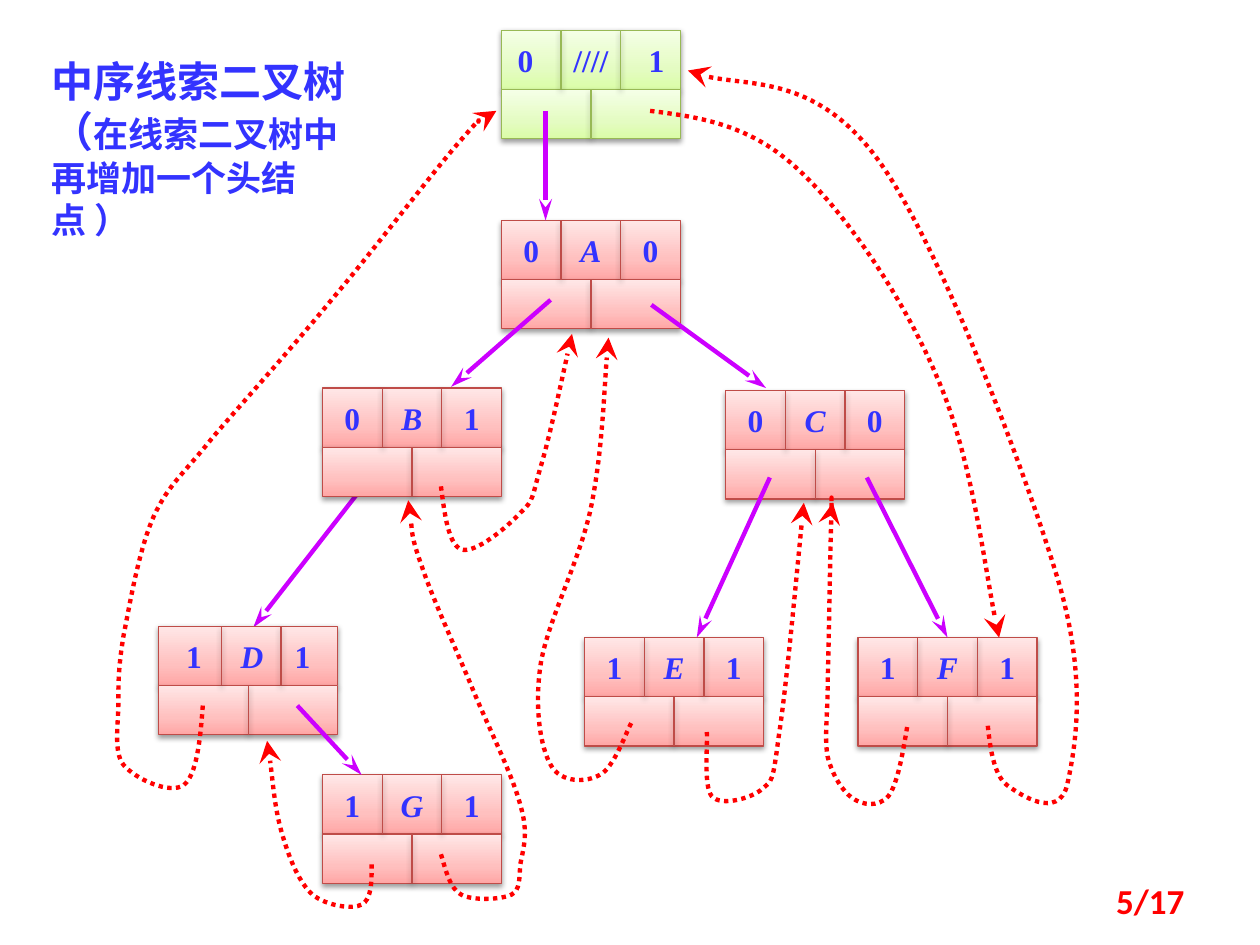
import pptx
import pptx.util
import pptx.dml.color
import pptx.enum.dml
import pptx.enum.shapes
import pptx.enum.text
import pptx.oxml
import pptx.oxml.ns
from dataclasses import dataclass
from lxml import etree

qn = pptx.oxml.ns.qn


@dataclass(frozen=True)
class Theme:
    text: str = "3333FF"
    link: str = "CC00FF"
    thread: str = "FF0000"
    tree_line: str = "BF4C48"
    tree_fill: tuple = ((0, "FFA6A5"), (35, "FFC0BF"), (100, "FFE7E7"))
    head_line: str = "98B955"
    head_fill: tuple = ((0, "DAFDA7"), (35, "E4FCC2"), (100, "F5FFE7"))
    serif: str = "Times New Roman"
    sans: str = "Calibri"
    title_size: int = 24
    note_size: int = 20
    node_size: int = 18
    border: float = 0.75
    stroke: float = 2.5


THEME = Theme()

# The slide is a grid of 10 columns by 7.5 rows
CELL = pptx.util.Inches(1)
NODE_W, TOP_H, BOTTOM_H = 1.42, 0.47, 0.39

# Label: left, top of each node, then its left tag, right tag
UPPER_NODES = {"A": (3.98, 1.75, "0", "0"), "E": (4.64, 5.06, "1", "1"),
               "C": (5.76, 3.10, "0", "0"), "F": (6.81, 5.06, "1", "1")}
LEFT_NODES = {"B": (2.56, 3.08, "0", "1"), "D": (1.26, 4.97, "1", "1"),
              "G": (2.56, 6.15, "1", "1")}
HEAD = ("////", (3.98, 0.24, "0", "1"))
TAB_STOPS = {"D": (0.28, 0.74, 1.14), "////": (0.19, 0.71, 1.23)}
DIVIDERS = {"D": (0.5, 0.97)}

# Child links from parent to child
LINKS = [((4.37, 2.38), (3.58, 3.07)), ((5.17, 2.42), (6.08, 3.08)),
         ((2.96, 3.76), (2.01, 4.98)), ((6.11, 3.79), (5.53, 5.06)),
         ((6.88, 3.79), (7.52, 5.06))]
LINK_D_G = ((2.36, 5.60), (2.87, 6.15))
LINK_HEAD_A = ((4.33, 0.88), (4.33, 1.75))

# Threads: a start point, then three Bezier points per segment
THREADS_BELOW_HEAD = [
    # G to D
    [(2.95, 6.86), (2.95, 7), (2.95, 7.14), (2.87, 7.18), (2.8, 7.22), (2.59, 7.19), (2.48, 7.1),
     (2.38, 7.01), (2.3, 6.83), (2.24, 6.62), (2.18, 6.42), (2.15, 6.03), (2.12, 5.88)],
    # E to C
    [(5.61, 5.81), (5.62, 5.89), (5.58, 6.24), (5.65, 6.32), (5.72, 6.4), (5.95, 6.34),
     (6.04, 6.27), (6.13, 6.19), (6.13, 6.23), (6.18, 5.85), (6.24, 5.47), (6.34, 4.37),
     (6.38, 3.99)],
    # F to C
    [(7.2, 5.77), (7.16, 6.01), (7.12, 6.23), (7.05, 6.32), (6.97, 6.41), (6.84, 6.39),
     (6.76, 6.33), (6.69, 6.28), (6.61, 6.16), (6.57, 6.01), (6.54, 5.85), (6.57, 5.7),
     (6.57, 5.38), (6.58, 5.05), (6.59, 4.29), (6.6, 4.06), (6.6, 3.82), (6.61, 4),
     (6.61, 3.99)],
]
THREADS_ABOVE_HEAD = [
    # Head to F
    [(5.16, 0.88), (5.56, 0.93), (5.96, 0.99), (6.34, 1.35), (6.72, 1.7), (7.18, 2.38),
     (7.44, 3), (7.71, 3.62), (7.83, 4.63), (7.93, 5.06)],
    # F to head
    [(7.84, 5.76), (7.86, 5.95), (7.89, 6.15), (7.99, 6.23), (8.1, 6.31), (8.4, 6.51),
     (8.47, 6.23), (8.53, 5.95), (8.64, 5.4), (8.39, 4.58), (8.14, 3.75), (7.46, 1.94),
     (6.97, 1.27), (6.48, 0.6), (5.77, 0.7), (5.46, 0.56)],
    # B to A
    [(3.5, 3.86), (3.53, 4.09), (3.56, 4.32), (3.66, 4.36), (3.77, 4.4), (4.03, 4.18),
     (4.13, 4.07), (4.24, 3.97), (4.22, 3.95), (4.29, 3.71), (4.36, 3.48), (4.49, 2.87),
     (4.54, 2.65)],
    # G to B
    [(3.5, 6.78), (3.54, 6.91), (3.57, 7.05), (3.66, 7.1), (3.75, 7.15), (3.98, 7.14),
     (4.06, 7.1), (4.13, 7.06), (4.12, 6.98), (4.13, 6.86), (4.15, 6.74), (4.2, 6.62),
     (4.13, 6.39), (4.07, 6.15), (3.87, 5.76), (3.74, 5.44), (3.61, 5.13), (3.43, 4.74),
     (3.35, 4.5), (3.26, 4.25), (3.26, 4.08), (3.24, 3.97)],
    # D to head
    [(1.61, 5.6), (1.59, 5.88), (1.56, 6.15), (1.46, 6.23), (1.35, 6.31), (1.07, 6.18),
     (0.98, 6.07), (0.9, 5.97), (0.94, 5.75), (0.94, 5.58), (0.94, 5.41), (0.94, 5.3),
     (0.98, 5.05), (1.03, 4.8), (1.1, 4.37), (1.22, 4.1), (1.34, 3.84), (1.46, 3.76),
     (1.69, 3.47), (1.93, 3.19), (2.31, 2.77), (2.64, 2.37), (2.97, 1.98), (3.44, 1.36),
     (3.66, 1.11), (3.88, 0.86), (3.89, 0.92), (3.94, 0.88)],
    # E to A
    [(5.01, 5.74), (4.97, 5.81), (4.87, 6.1), (4.76, 6.15), (4.66, 6.21), (4.45, 6.22),
     (4.37, 6.07), (4.29, 5.93), (4.24, 5.62), (4.29, 5.28), (4.34, 4.94), (4.6, 4.46),
     (4.69, 4.03), (4.78, 3.59), (4.8, 2.96), (4.83, 2.68)],
]


def grid(*lengths):
    return [int(round(length * CELL)) for length in lengths]


def set_line(part, color, width):
    part.line.color.rgb = pptx.dml.color.RGBColor.from_string(color)
    part.line.width = pptx.util.Pt(width)


def add_effects(part, shadow=False):
    effects = etree.SubElement(part.element.spPr, qn("a:effectLst"))
    if shadow:
        outer = etree.SubElement(effects, qn("a:outerShdw"), blurRad="40000", dist="20000",
                                 dir="5400000", rotWithShape="0")
        black = etree.SubElement(outer, qn("a:srgbClr"), val="000000")
        etree.SubElement(black, qn("a:alpha"), val="38000")


def add_arrowhead(part, width):
    outline = part.element.spPr.find(qn("a:ln"))
    etree.SubElement(outline, qn("a:tailEnd"), type="stealth", w=width, len="lg")


def style_run(run, size, color=THEME.text, font=THEME.serif, italic=None):
    run.font.size, run.font.name = pptx.util.Pt(size), font
    run.font.bold, run.font.italic = True, italic
    run.font.color.rgb = pptx.dml.color.RGBColor.from_string(color)


def add_segment(slide, start, end, color, width):
    segment = slide.shapes.add_connector(pptx.enum.shapes.MSO_CONNECTOR.STRAIGHT,
                                         *grid(*start, *end))
    set_line(segment, color, width)
    return segment


def add_field(slide, box, fill_stops, border):
    field = slide.shapes.add_shape(pptx.enum.shapes.MSO_SHAPE.RECTANGLE, *grid(*box))
    field.fill.gradient()
    gradient = field.element.spPr.find(qn("a:gradFill"))
    stops = gradient.find(qn("a:gsLst"))
    stops.clear()
    for position, color in fill_stops:
        stop = etree.SubElement(stops, qn("a:gs"), pos=str(position * 1000))
        etree.SubElement(stop, qn("a:srgbClr"), val=color)
    gradient.find(qn("a:lin")).set("ang", "16200000")
    set_line(field, border, THEME.border)
    add_effects(field, shadow=True)
    return field


def write_tags(field, tags, tab_stops):
    frame = field.text_frame
    frame.margin_left = frame.margin_right = 0
    paragraph = frame.paragraphs[0]
    paragraph.alignment = pptx.enum.text.PP_ALIGN.LEFT
    tab_list = etree.SubElement(paragraph._p.get_or_add_pPr(), qn("a:tabLst"))
    for stop in grid(*tab_stops):
        etree.SubElement(tab_list, qn("a:tab"), pos=str(stop), algn="ctr")
    for tag in tags:
        run = paragraph.add_run()
        run.text = "\t" + tag
        style_run(run, THEME.node_size, italic=tag.isalpha())


def add_node(slide, label, node, fill=THEME.tree_fill, border=THEME.tree_line):
    left, top, left_tag, right_tag = node
    middle = top + TOP_H
    bottom = middle + BOTTOM_H
    thirds = (NODE_W / 3, NODE_W * 2 / 3)
    centres = (NODE_W / 6, NODE_W / 2, NODE_W * 5 / 6)
    tags = add_field(slide, (left, top, NODE_W, TOP_H), fill, border)
    write_tags(tags, (left_tag, label, right_tag), TAB_STOPS.get(label, centres))
    add_field(slide, (left, middle, NODE_W, BOTTOM_H), fill, border)
    dividers = [(x, top, middle) for x in DIVIDERS.get(label, thirds)]
    for x, start, end in dividers + [(NODE_W / 2, middle, bottom)]:
        divider = add_segment(slide, (left + x, start), (left + x, end), border, THEME.border)
        add_effects(divider, shadow=True)


def add_link(slide, start, end):
    link = add_segment(slide, start, end, THEME.link, THEME.stroke)
    add_arrowhead(link, "med")
    add_effects(link)


def add_thread(slide, points):
    start, *rest = [grid(*point) for point in points]
    builder = slide.shapes.build_freeform(*start)
    builder.add_line_segments(rest, close=False)
    thread = builder.convert_to_shape()
    # Every three vertices become one Bezier segment
    outline = next(thread.element.iter(qn("a:path")))
    vertices = outline.findall(qn("a:lnTo"))
    for first in range(0, len(vertices), 3):
        curve = etree.SubElement(outline, qn("a:cubicBezTo"))
        for vertex in vertices[first:first + 3]:
            curve.append(vertex[0])
            outline.remove(vertex)
    thread.fill.background()
    set_line(thread, THEME.thread, THEME.stroke)
    thread.line.dash_style = pptx.enum.dml.MSO_LINE.ROUND_DOT
    add_arrowhead(thread, "lg")
    add_effects(thread)


def add_text(slide, box, pieces, **style):
    frame = slide.shapes.add_textbox(*grid(*box)).text_frame
    frame.word_wrap = True
    for text, size in pieces:
        run = frame.paragraphs[0].add_run()
        run.text = text
        style_run(run, size, **style)
    return frame


def main():
    deck = pptx.Presentation()
    deck.slide_width, deck.slide_height = grid(10, 7.5)
    slide = deck.slides.add_slide(deck.slide_layouts[6])

    # Tree nodes and child links; later nodes cover the link ends
    for label, node in UPPER_NODES.items():
        add_node(slide, label, node)
    for link in LINKS:
        add_link(slide, *link)
    for label, node in LEFT_NODES.items():
        add_node(slide, label, node)
    add_link(slide, *LINK_D_G)

    # Head node and in-order threads
    for points in THREADS_BELOW_HEAD:
        add_thread(slide, points)
    add_node(slide, *HEAD, THEME.head_fill, THEME.head_line)
    add_link(slide, *LINK_HEAD_A)
    for points in THREADS_ABOVE_HEAD:
        add_thread(slide, points)

    # Title and page number
    title = add_text(slide, (0.31, 0.39, 2.73, 1.25),
                     [("中序线索二叉树（", THEME.title_size),
                      ("在线索二叉树中再增加一个头结点 ）", THEME.note_size)])
    title.auto_size = pptx.enum.text.MSO_AUTO_SIZE.SHAPE_TO_FIT_TEXT
    page = add_text(slide, (7.17, 6.95, 2.33, 0.4), [("5/17", THEME.note_size)],
                    color=THEME.thread, font=THEME.sans)
    page.vertical_anchor = pptx.enum.text.MSO_ANCHOR.MIDDLE
    page.paragraphs[0].alignment = pptx.enum.text.PP_ALIGN.RIGHT

    deck.save("out.pptx")


if __name__ == "__main__":
    main()
